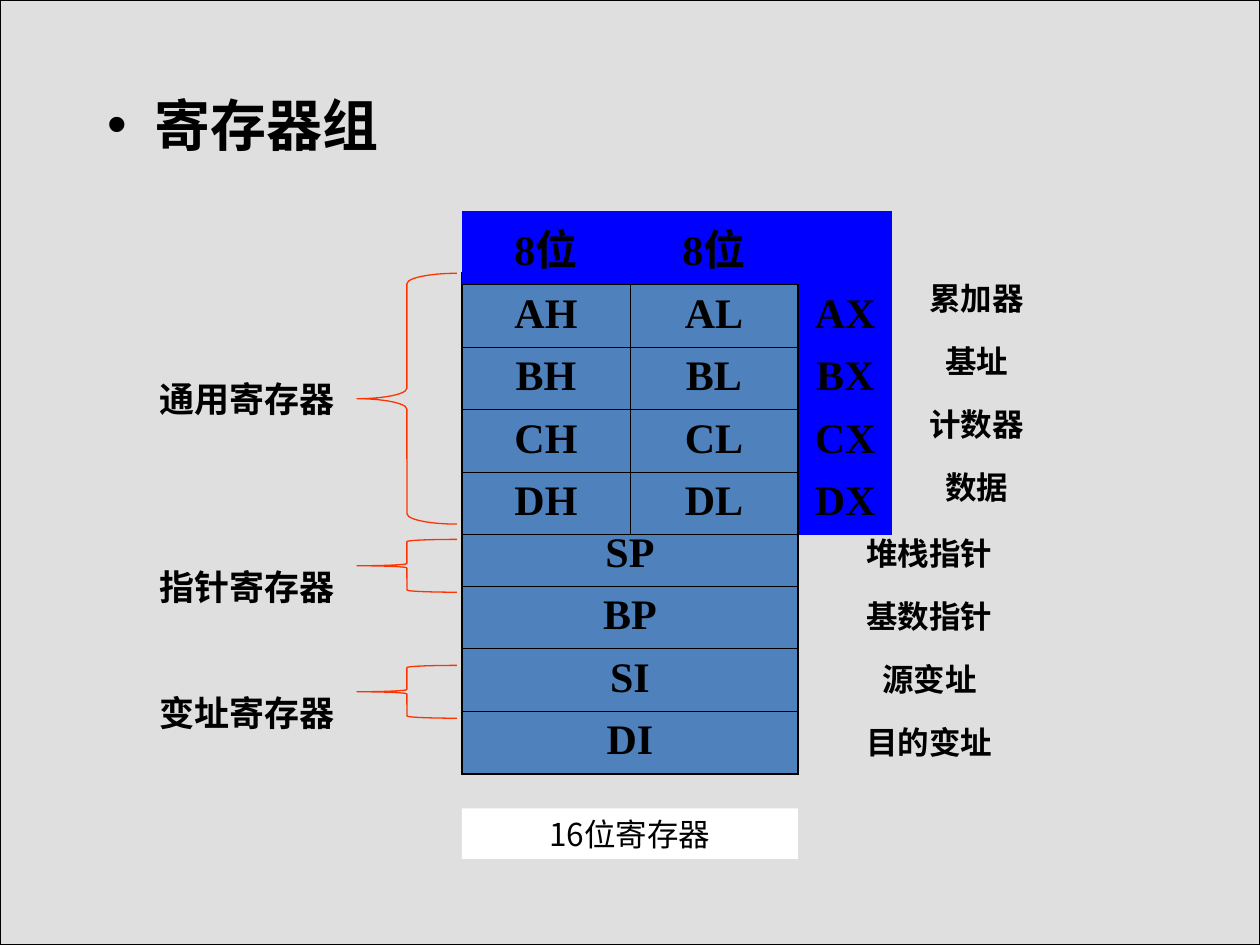
import pptx
import pptx.util
import pptx.dml.color
import pptx.enum.shapes
import pptx.enum.text
import pptx.oxml.ns
import lxml.etree

Pt = pptx.util.Pt
RGB = pptx.dml.color.RGBColor
KIND = pptx.enum.shapes.MSO_SHAPE
MID = pptx.enum.text.PP_ALIGN.CENTER
qn = pptx.oxml.ns.qn

BLACK = RGB(0, 0, 0)
WHITE = RGB(255, 255, 255)
GREY = RGB(0xC1, 0xC1, 0xC1)
STEEL = RGB(0x4F, 0x81, 0xBD)
BLUE = RGB(0, 0, 255)
RED = RGB(0xFF, 0x33, 0)
SANS = "Noto Sans CJK JP"
SERIF = "Times New Roman"

HEAD = "寄存器组"
WORDS = ["AX", "BX", "CX", "DX", "SP", "BP", "SI", "DI"]
HALVES = [["8位", "8位", ""]] + [[c + "H", c + "L", c + "X"] for c in "ABCD"]
ROLES = ["累加器", "基址", "计数器", "数据",
         "堆栈指针", "基数指针", "源变址", "目的变址"]
GROUPS = [("通用寄存器", 156.2, 143.3, 212.4),
          ("指针寄存器", 308.2, 30.2, 319.7),
          ("变址寄存器", 380.2, 30.2, 391.7)]
NOTE = "16位寄存器"

LEFT, TOP, ROW = 264, 156.2, 35.75
HALF, SIDE = 96, 54
THICK, THIN = 1.08, 0.45


def write(frame, text, size, font=SANS, bold=True):
    par = frame.paragraphs[0]
    par.alignment = MID
    run = par.add_run()
    run.text = text
    run.font.size = Pt(size)
    run.font.bold = bold
    run.font.color.rgb = BLACK
    run.font.name = font
    if font == SANS:
        lxml.etree.SubElement(run._r.rPr, qn("a:ea"), typeface=font)
    return par


def label(slide, text, x, y, w, h, size):
    box = slide.shapes.add_textbox(Pt(x), Pt(y), Pt(w), Pt(h))
    box.text_frame.word_wrap = True
    write(box.text_frame, text, size)


def block(slide, kind, x, y, w, h):
    shape = slide.shapes.add_shape(kind, Pt(x), Pt(y), Pt(w), Pt(h))
    shape.shadow.inherit = False
    return shape


def edge(cell, sides):
    props = cell._tc.get_or_add_tcPr()
    for side in "LRTB":
        width = sides.get(side, 0)
        line = lxml.etree.SubElement(props, qn("a:ln" + side), w=str(Pt(width)))
        if width:
            fill = lxml.etree.SubElement(line, qn("a:solidFill"))
            lxml.etree.SubElement(fill, qn("a:srgbClr"), val=str(BLACK))
        else:
            lxml.etree.SubElement(line, qn("a:noFill"))


def grid(slide, y, data, widths, style):
    rows = len(data)
    frame = slide.shapes.add_table(rows, len(widths), Pt(LEFT), Pt(y),
                                   Pt(sum(widths)), Pt(ROW * rows))
    table = frame.table
    table.first_row = table.horz_banding = False
    for col, width in zip(table.columns, widths):
        col.width = Pt(width)
    for r, texts in enumerate(data):
        table.rows[r].height = Pt(ROW)
        for c, text in enumerate(texts):
            cell = table.cell(r, c)
            sides, color = style(r, c)
            edge(cell, sides)
            cell.fill.solid()
            cell.fill.fore_color.rgb = color
            if text:
                par = write(cell.text_frame, text, 24, SERIF)
                par.space_before = Pt(6)


def whole(r, c):
    last = len(WORDS) - 1
    return {"L": THICK, "R": THICK, "T": THIN if r else THICK,
            "B": THICK if r == last else THIN}, STEEL


def split(r, c):
    if c == 2:
        return ({"L": THICK} if r else {}), BLUE
    if r == 0:
        return {"B": THICK}, BLUE
    last = len(HALVES) - 1
    return {"L": THIN if c else THICK, "R": THICK if c else THIN,
            "T": THICK if r == 1 else THIN,
            "B": THICK if r == last else THIN}, STEEL


def main():
    deck = pptx.Presentation()
    deck.slide_width, deck.slide_height = Pt(720), Pt(540)
    slide = deck.slides.add_slide(deck.slide_layouts[1])
    title, body = slide.placeholders
    title._element.getparent().remove(title._element)

    back = block(slide, KIND.RECTANGLE, 0, 0, 720, 540)
    back.fill.solid()
    back.fill.fore_color.rgb = GREY
    tint = back._element.spPr.find(qn("a:solidFill"))[0]
    lxml.etree.SubElement(tint, qn("a:alpha"), val="50000")
    back.line.color.rgb = BLACK
    back.line.width = Pt(0.75)
    body._element.addprevious(back._element)

    body.left, body.top, body.width, body.height = Pt(54), Pt(48), Pt(612), Pt(432)
    par = write(body.text_frame, HEAD, 32)
    par.alignment = pptx.enum.text.PP_ALIGN.LEFT
    par.space_before = Pt(8)

    grid(slide, TOP, [[word] for word in WORDS], [2 * HALF], whole)
    grid(slide, TOP - ROW, HALVES, [HALF, HALF, SIDE], split)

    note = block(slide, KIND.RECTANGLE, LEFT, 462, 2 * HALF, 28.8)
    note.fill.solid()
    note.fill.fore_color.rgb = WHITE
    note.line.fill.background()
    write(note.text_frame, NOTE, 18, bold=False)

    for text, y, h, mark in GROUPS:
        brace = block(slide, KIND.LEFT_BRACE, 204, y, 57, h)
        brace.adjustments[0] = h / 24 / min(57, h)
        brace.fill.background()
        brace.line.color.rgb = RED
        brace.line.width = Pt(0.75)
        label(slide, text, 78, mark, 126, 31, 20)

    for i, text in enumerate(ROLES):
        x = 510 if i < 4 else 456
        y = TOP + i * 36 + (0 if i < 4 else 1.5)
        label(slide, text, x, y, 606 - x, 28.8, 18)

    deck.save("out.pptx")


if __name__ == "__main__":
    main()
